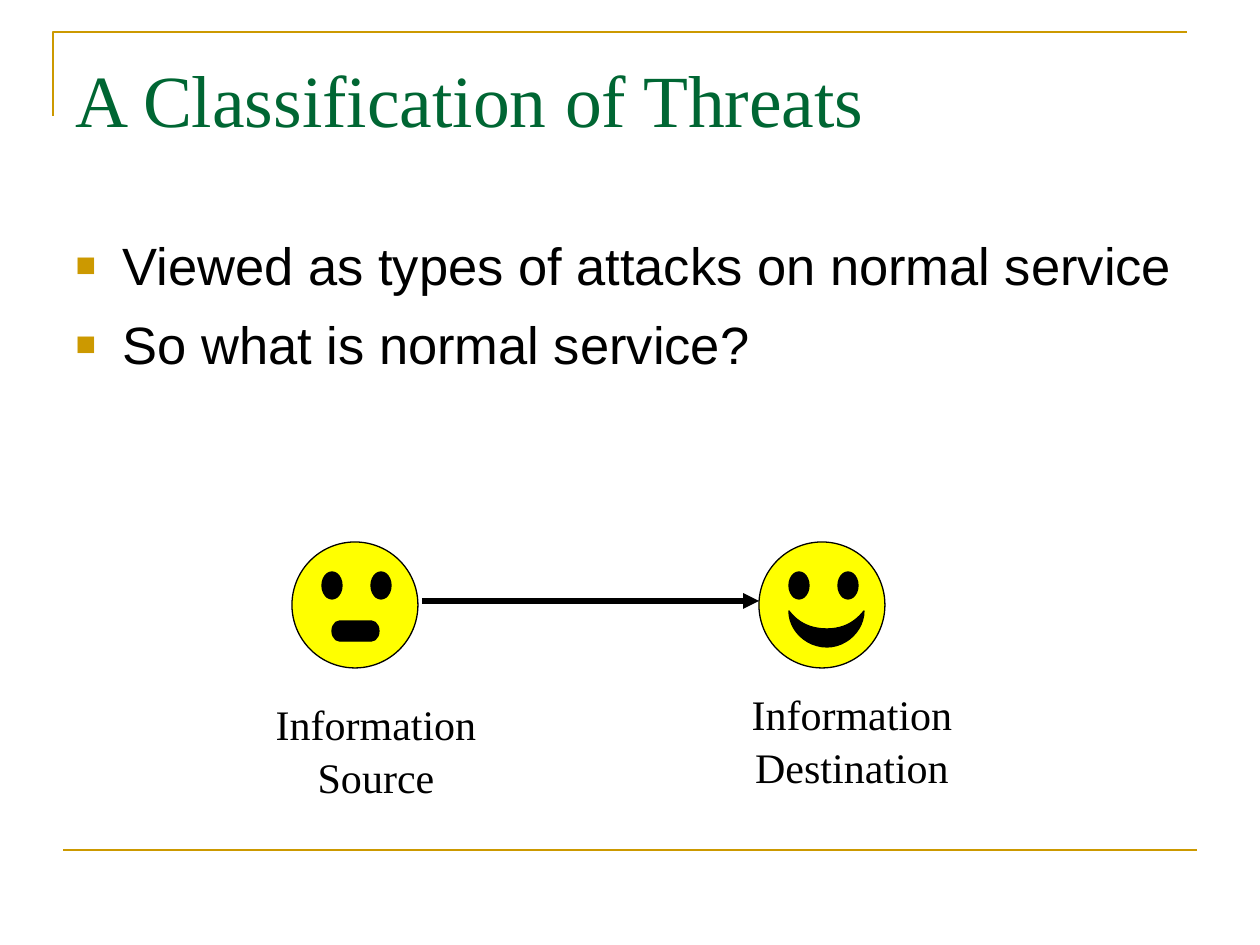
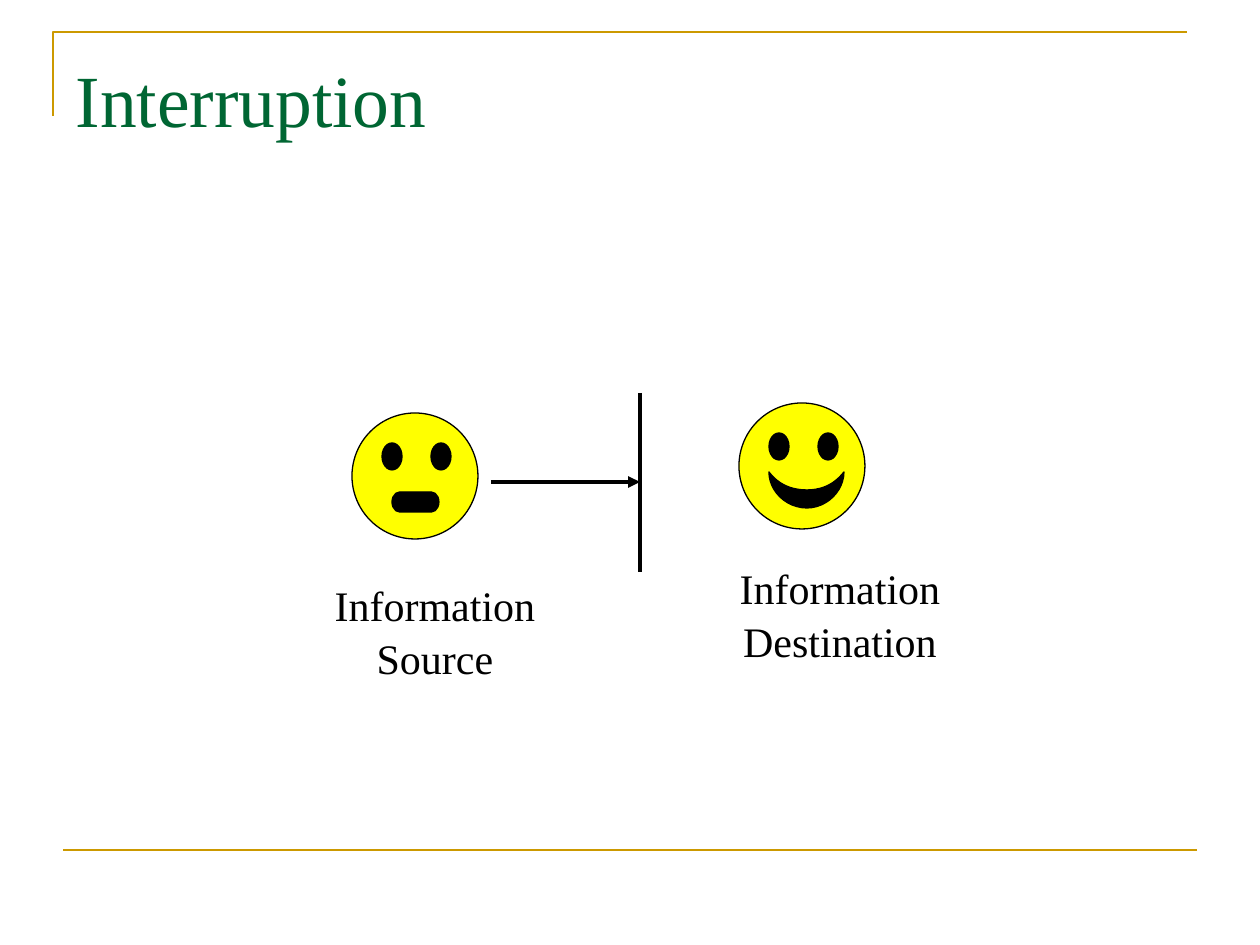
"""Build two slides on threats to the normal flow of information."""
from lxml import etree
from pptx import Presentation
from pptx import util as u
from pptx.dml.color import RGBColor
from pptx.enum import shapes, text
from pptx.oxml.ns import qn

COLORS = {"title": "006633", "accent": "CC9900", "ink": "000000", "face": "FFFF00"}
SERIF, SANS = "Times New Roman", "Arial"
EMU_PER_PX = 914400 / 126
SLIDE_SIZE = (1260, 945)
TITLE_BOX = (63, 38, 1134, 157)
BODY_BOX = (63, 220, 1134, 624)
CORNER = [(53, 116), (53, 32), (1187, 32)]
FOOT_RULE = (63, 850, 1197, 850)

HEAD = 126
EYES = [(30, 30, 20, 27), (79, 30, 20, 27)]
FLAT_MOUTH = (40, 79, 47, 20)
SMILE_START = (30, 69)
SMILE_CURVES = [
    ((37, 78), (48, 87), (68, 87)),
    ((87, 87), (98, 78), (105, 69)),
    ((105, 88), (88, 105), (68, 105)),
    ((47, 105), (30, 88), (30, 69)),
]
CURVE_STEPS = 12

TITLE_FORMAT = {"size": u.Pt(42), "name": SERIF, "bold": False}
BODY_FORMAT = {"size": u.Pt(30), "name": SANS}
LABEL_FORMAT = {"size": u.Pt(24), "name": SERIF}
SOURCE, DESTINATION = ["Information", "Source"], ["Information", "Destination"]

SLIDES = [
    {
        "title": "A Classification of Threats",
        "bullets": ["Viewed as types of attacks on normal service",
                    "So what is normal service?"],
        "lines": [((422, 601, 759, 601), 3, True)],
        "faces": [(759, 542, True), (292, 542, False)],
        "labels": [((263, 691, 226, 113), SOURCE), ((739, 681, 226, 113), DESTINATION)],
    },
    {
        "title": "Interruption",
        "bullets": [],
        "lines": [((491, 482, 640, 482), 2.25, True), ((640, 393, 640, 572), 2.25, False)],
        "faces": [(739, 403, True), (352, 413, False)],
        "labels": [((322, 572, 226, 113), SOURCE), ((727, 555, 226, 164), DESTINATION)],
    },
]


def px(value):
    return u.Emu(round(value * EMU_PER_PX))


def emu(values):
    return [px(value) for value in values]


def color(name):
    return RGBColor.from_string(COLORS[name])


def apply(target, values):
    for name, value in values.items():
        setattr(target, name, value)


def style_shape(shape, fill, line="ink", width=0.75):
    shape.shadow.inherit = False
    if fill:
        shape.fill.solid()
        shape.fill.fore_color.rgb = color(fill)
    else:
        shape.fill.background()
    shape.line.color.rgb = color(line)
    shape.line.width = u.Pt(width)


def add_outline(container, points, close, fill, line="ink", width=0.75):
    corners = [emu(point) for point in points]
    builder = container.build_freeform(*corners[0], scale=1)
    builder.add_line_segments(corners[1:], close=close)
    style_shape(builder.convert_to_shape(), fill, line, width)


def add_line(slide, ends, width, arrow=False, line="ink"):
    connector = slide.shapes.add_connector(shapes.MSO_CONNECTOR.STRAIGHT, *emu(ends))
    connector.line.color.rgb = color(line)
    connector.line.width = u.Pt(width)
    if arrow:
        etree.SubElement(connector.line._get_or_add_ln(), qn("a:tailEnd"), type="triangle")
    etree.SubElement(connector._element.spPr, qn("a:effectLst"))


def smile_points(left, top):
    points, start = [SMILE_START], SMILE_START
    for first, second, end in SMILE_CURVES:
        for step in range(1, CURVE_STEPS + 1):
            t = step / CURVE_STEPS
            weights = ((1 - t) ** 3, 3 * t * (1 - t) ** 2, 3 * t * t * (1 - t), t ** 3)
            points.append(tuple(
                sum(weight * value for weight, value in zip(weights, axis))
                for axis in zip(start, first, second, end)))
        start = end
    return [(left + x, top + y) for x, y in points]


def add_face(slide, left, top, smiling):
    group = slide.shapes.add_group_shape().shapes
    oval, bar = shapes.MSO_SHAPE.OVAL, shapes.MSO_SHAPE.FLOWCHART_TERMINATOR
    parts = [(oval, (0, 0, HEAD, HEAD), "face")] + [(oval, eye, "ink") for eye in EYES]
    if not smiling:
        parts.append((bar, FLAT_MOUTH, "ink"))
    for kind, (x, y, width, height), fill in parts:
        shape = group.add_shape(kind, *emu((left + x, top + y, width, height)))
        style_shape(shape, fill)
    if smiling:
        add_outline(group, smile_points(left, top), True, "ink")


def add_bullet(paragraph):
    properties = paragraph._p.get_or_add_pPr()
    properties.set("marL", str(px(47)))
    properties.set("indent", str(-px(47)))
    bullet_color = etree.SubElement(properties, qn("a:buClr"))
    etree.SubElement(bullet_color, qn("a:srgbClr"), val=COLORS["accent"])
    etree.SubElement(properties, qn("a:buSzPct"), val="65000")
    etree.SubElement(properties, qn("a:buFont"), typeface=SANS)
    etree.SubElement(properties, qn("a:buChar"), char="■")


def write(shape, lines, font, ink="ink", align=text.PP_ALIGN.LEFT,
          wrap=True, inset=6, gap=0, bullets=False):
    frame = shape.text_frame
    apply(frame, {
        "word_wrap": wrap, "auto_size": text.MSO_AUTO_SIZE.NONE,
        "vertical_anchor": text.MSO_ANCHOR.TOP, "margin_top": px(inset),
    })
    for index, line in enumerate(lines):
        paragraph = frame.add_paragraph() if index else frame.paragraphs[0]
        paragraph.text = line
        if bullets:
            add_bullet(paragraph)
        apply(paragraph, {"alignment": align, "line_spacing": 1.04,
                          "space_before": u.Pt(gap if index else 0)})
        apply(paragraph.font, font)
        paragraph.font.color.rgb = color(ink)


def place(shape, box):
    apply(shape, dict(zip(("left", "top", "width", "height"), emu(box))))


def add_slide(presentation, content):
    layout = presentation.slide_layouts[1 if content["bullets"] else 5]
    slide = presentation.slides.add_slide(layout)
    add_outline(slide.shapes, CORNER, False, None, "accent", 1.5)
    add_line(slide, FOOT_RULE, 1.5, line="accent")
    title = slide.shapes.title
    place(title, TITLE_BOX)
    write(title, [content["title"]], TITLE_FORMAT, "title", inset=12)
    if content["bullets"]:
        body = slide.placeholders[1]
        place(body, BODY_BOX)
        write(body, content["bullets"], BODY_FORMAT, inset=11, gap=7.5, bullets=True)
    for ends, width, arrow in content["lines"]:
        add_line(slide, ends, width, arrow)
    for face in content["faces"]:
        add_face(slide, *face)
    for box, lines in content["labels"]:
        label = slide.shapes.add_textbox(*emu(box))
        write(label, lines, LABEL_FORMAT, align=text.PP_ALIGN.CENTER, wrap=False)


def main():
    presentation = Presentation()
    presentation.slide_width, presentation.slide_height = emu(SLIDE_SIZE)
    for content in SLIDES:
        add_slide(presentation, content)
    presentation.save("out.pptx")


if __name__ == "__main__":
    main()
